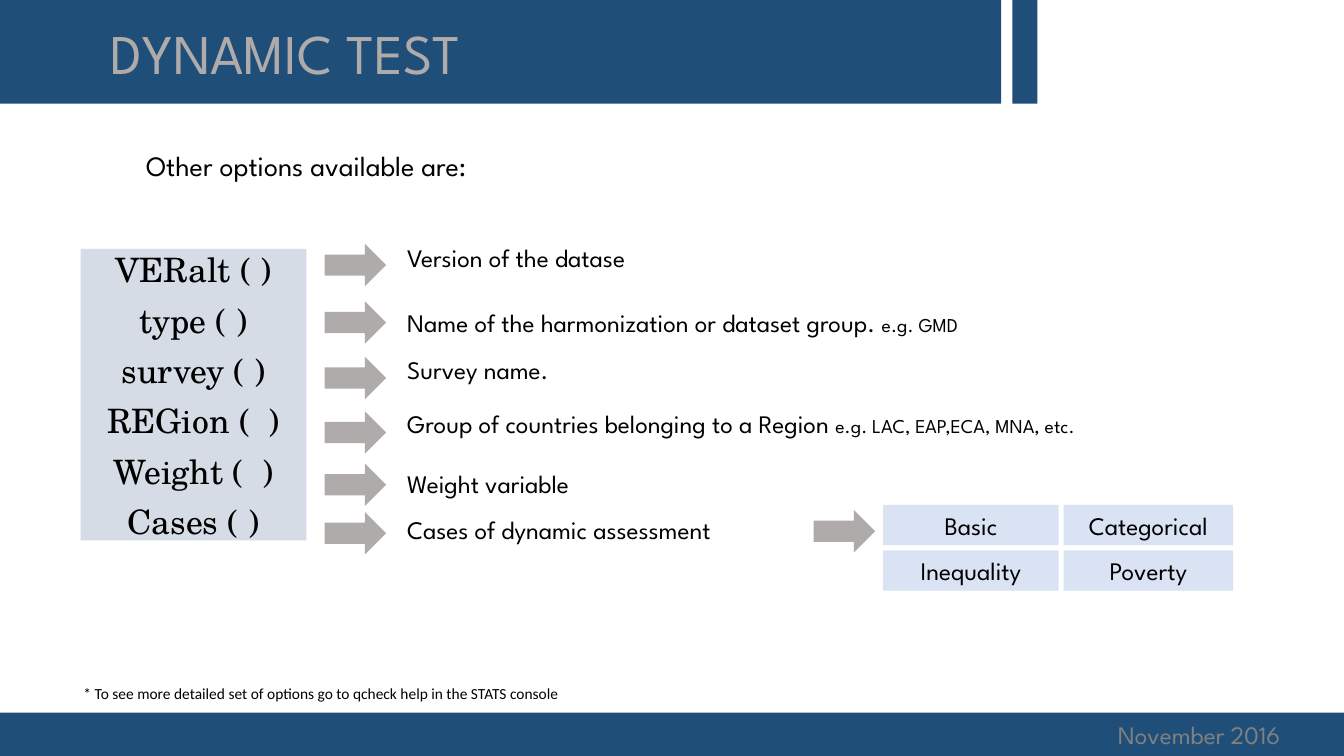
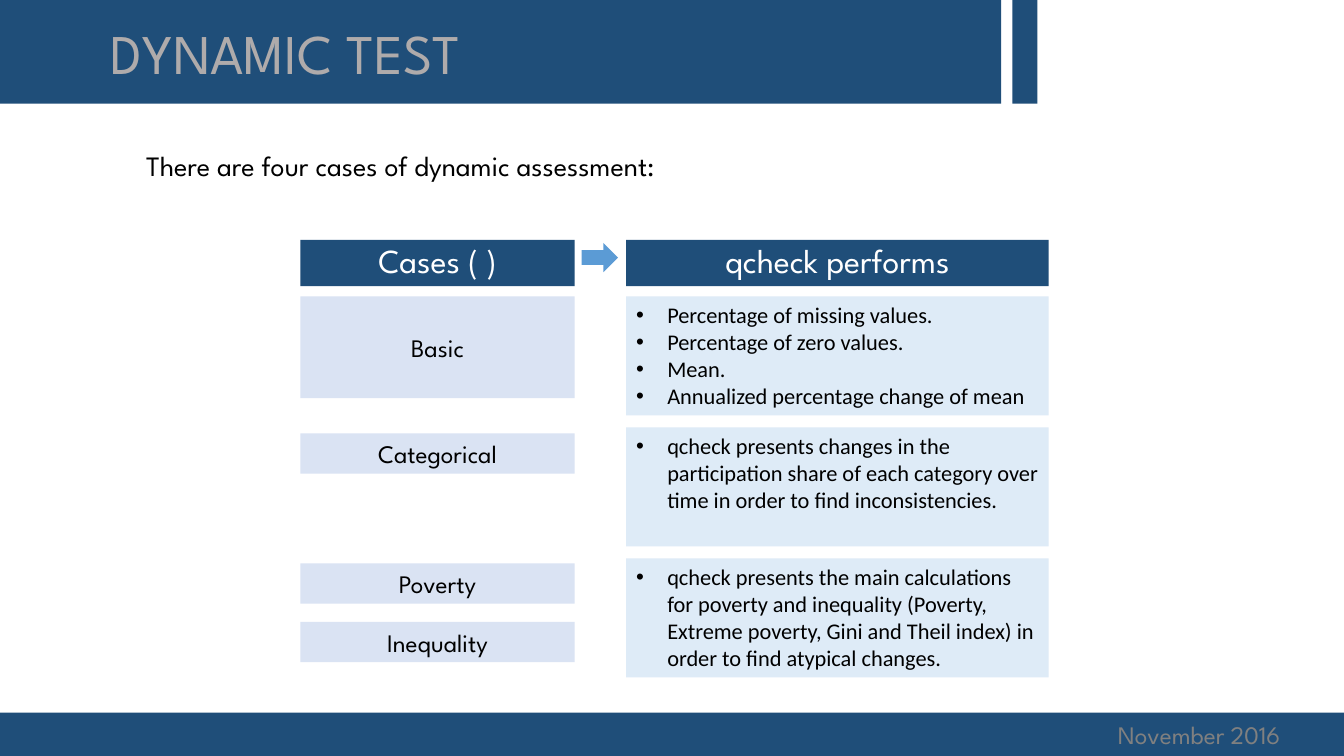
from lxml import etree
from pptx import Presentation
from pptx.dml.color import RGBColor
from pptx.enum.shapes import MSO_SHAPE
from pptx.enum.text import MSO_ANCHOR, PP_ALIGN
from pptx.oxml.ns import qn
from pptx.util import Inches, Pt

RECTANGLE = MSO_SHAPE.RECTANGLE
RIGHT_ARROW = MSO_SHAPE.RIGHT_ARROW
LEFT, CENTER = PP_ALIGN.LEFT, PP_ALIGN.CENTER
TOP, MIDDLE = MSO_ANCHOR.TOP, MSO_ANCHOR.MIDDLE

NAVY = RGBColor(0x1F, 0x4E, 0x79)
GREY = RGBColor(0xAF, 0xAB, 0xAB)
DATE_GREY = RGBColor(0x80, 0x80, 0x80)
CODE_FILL = RGBColor(0xD6, 0xDC, 0xE5)
CASE_FILL = RGBColor(0xDA, 0xE3, 0xF3)
DETAIL_FILL = RGBColor(0xDE, 0xEB, 0xF7)
ARROW_BLUE = RGBColor(0x5B, 0x9B, 0xD5)
BLACK = RGBColor(0, 0, 0)
WHITE = RGBColor(0xFF, 0xFF, 0xFF)

HEADING_FONT = "League Spartan"
BODY_FONT = "Calibri"
CODE_FONT = "TeX Gyre Schola"

SLIDE_WIDTH, SLIDE_HEIGHT = 13.33, 7.5
BAND_HEIGHT = 1.03
FOOTER_TOP = 7.07
CASE_HEIGHT = 0.4
BULLET_INDENT = 0.31

OPTIONS = [
    ("VERalt ( )", 0, 0, 4, ["Version of the datase"]),
    ("type ( )", 0.57, 0.64, 6.82, ["Name of the harmonization or dataset group. ", "e.g. GMD"]),
    ("survey ( )", 1.12, 1.11, 4, ["Survey name."]),
    ("REGion (  )", 1.66, 1.64, 8.21,
     ["Group of countries belonging to a Region ", "e.g. LAC, EAP,ECA, MNA, etc."]),
    ("Weight (  )", 2.18, 2.24, 4, ["Weight variable"]),
    ("Cases ( )", 2.66, 2.69, 4, ["Cases of dynamic assessment"]),
]
CASE_GRID = [["Basic", "Categorical"], ["Inequality", "Poverty"]]
CASE_LABELS = [
    ("Basic", 0.56, 1.01),
    ("Categorical", 1.92, CASE_HEIGHT),
    ("Poverty", 3.21, CASE_HEIGHT),
    ("Inequality", 3.79, CASE_HEIGHT),
]
CASE_DETAILS = [
    ["Percentage of missing values.", "Percentage of zero values.", "Mean.",
     "Annualized percentage change of mean"],
    ["qcheck presents changes in the participation share of each category over time "
     "in order to find inconsistencies."],
    ["qcheck presents the main calculations for poverty and inequality (Poverty, Extreme "
     "poverty, Gini and Theil index) in order to find atypical changes."],
]


def add_block(slide, left, top, width, height, fill, kind=RECTANGLE):
    """Add a filled preset shape without outline or shadow."""
    shape = slide.shapes.add_shape(kind, Inches(left), Inches(top), Inches(width), Inches(height))
    shape.shadow.inherit = False
    shape.fill.solid()
    shape.fill.fore_color.rgb = fill
    shape.line.fill.background()
    return shape


def add_bullet(paragraph):
    """Give a paragraph a round bullet with a hanging indent."""
    properties = paragraph._p.get_or_add_pPr()
    properties.set("marL", str(Inches(BULLET_INDENT)))
    properties.set("indent", str(-Inches(BULLET_INDENT)))
    etree.SubElement(properties, qn("a:buFont")).set("typeface", "Arial")
    etree.SubElement(properties, qn("a:buChar")).set("char", "•")


def write_text(shape, paragraphs, size=18, small=14, font=HEADING_FONT, color=BLACK,
               align=LEFT, anchor=TOP, bullets=False, line_spacing=None, space_before=0):
    """Write paragraphs, each a list of runs whose later runs are small."""
    frame = shape.text_frame
    frame.word_wrap = True
    frame.vertical_anchor = anchor
    for index, runs in enumerate(paragraphs):
        paragraph = frame.add_paragraph() if index else frame.paragraphs[0]
        if bullets:
            add_bullet(paragraph)
        paragraph.alignment = align
        if line_spacing:
            paragraph.line_spacing = line_spacing
        if index and space_before:
            paragraph.space_before = Pt(space_before)
        for position, text in enumerate(runs):
            run = paragraph.add_run()
            run.text = text
            run.font.size = Pt(small if position else size)
            run.font.name = font
            run.font.color.rgb = color


def add_label(slide, left, top, width, height, runs, **style):
    """Add a one-paragraph text box."""
    box = slide.shapes.add_textbox(Inches(left), Inches(top), Inches(width), Inches(height))
    write_text(box, [runs], **style)


def add_centered(slide, left, top, width, height, text, fill, **style):
    """Add a filled rectangle with centred text."""
    shape = add_block(slide, left, top, width, height, fill)
    write_text(shape, [[text]], align=CENTER, anchor=MIDDLE, **style)


def add_framed_slide(presentation, subtitle):
    """Add a blank slide with the shared bands, title, date and a subtitle."""
    slide = presentation.slides.add_slide(presentation.slide_layouts[6])
    add_block(slide, 0, 0, 9.93, BAND_HEIGHT, NAVY)
    add_block(slide, 10.04, 0, 0.25, BAND_HEIGHT, NAVY)
    add_block(slide, 0, FOOTER_TOP, SLIDE_WIDTH, SLIDE_HEIGHT - FOOTER_TOP, NAVY)
    add_label(slide, 10.99, 7.09, 2.14, 0.4, ["November 2016"], color=DATE_GREY)
    add_label(slide, 1, 0.13, 7.41, 0.77, ["DYNAMIC TEST"], size=40, color=GREY)
    add_label(slide, 1.35, 1.42, 6.25, 0.44, [subtitle], size=20)
    return slide


def add_gray_arrow(slide, left, top):
    """Add a grey arrow pointing right."""
    add_block(slide, left, top, 0.61, 0.42, GREY, RIGHT_ARROW)


def add_option_list(slide, left, top):
    """Add the option names with an arrow and a description for each."""
    panel = add_block(slide, left, top, 2.24, 2.89, CODE_FILL)
    write_text(panel, [[option[0]] for option in OPTIONS], size=24, font=CODE_FONT,
               align=CENTER, line_spacing=0.9, space_before=10)
    for _, arrow_top, text_top, width, runs in OPTIONS:
        add_gray_arrow(slide, left + 2.42, top - 0.05 + arrow_top)
        add_label(slide, left + 3.14, top - 0.11 + text_top, width, 0.4, runs)


def add_case_grid(slide, left, top):
    """Add the arrow and the two-by-two grid of cases."""
    add_gray_arrow(slide, left, top + 0.05)
    columns = [(left + 0.69, 1.74), (left + 2.48, 1.68)]
    for row, names in enumerate(CASE_GRID):
        for (cell_left, width), name in zip(columns, names):
            add_centered(slide, cell_left, top + row * 0.45, width, CASE_HEIGHT, name, CASE_FILL)


def add_case_comparison(slide, left, top):
    """Add the cases on the left and what is performed for them on the right."""
    detail_left = left + 3.23
    header_style = {"size": 24, "color": WHITE, "line_spacing": 0.9}
    add_centered(slide, left, top, 2.72, 0.46, "Cases ( )", NAVY, **header_style)
    add_centered(slide, detail_left, top, 4.19, 0.46, "qcheck performs", NAVY, **header_style)
    add_block(slide, left + 2.79, top + 0.03, 0.36, 0.29, ARROW_BLUE, RIGHT_ARROW)
    for name, offset, height in CASE_LABELS:
        add_centered(slide, left, top + offset, 2.72, height, name, CASE_FILL)
    for row, items in enumerate(CASE_DETAILS):
        panel = add_block(slide, detail_left, top + 0.56 + row * 1.3, 4.19, 1.18, DETAIL_FILL)
        write_text(panel, [[item] for item in items], size=16, font=BODY_FONT, bullets=True)


def build_options_slide(presentation):
    """Build the slide of further options."""
    slide = add_framed_slide(presentation, "Other options available are:")
    add_option_list(slide, 0.8, 2.47)
    add_case_grid(slide, 8.07, 5.01)
    add_label(slide, 0.73, 6.74, 5.4, 0.29,
              ["* To see more detailed set of options go to qcheck help in the STATS console"],
              size=11, font=BODY_FONT)


def build_cases_slide(presentation):
    """Build the slide of the four cases."""
    slide = add_framed_slide(presentation, "There are four cases of dynamic assessment:")
    add_case_comparison(slide, 2.98, 2.38)


def main():
    """Build and save the presentation."""
    presentation = Presentation()
    presentation.slide_width = Inches(SLIDE_WIDTH)
    presentation.slide_height = Inches(SLIDE_HEIGHT)
    build_options_slide(presentation)
    build_cases_slide(presentation)
    presentation.save("out.pptx")


if __name__ == "__main__":
    main()
